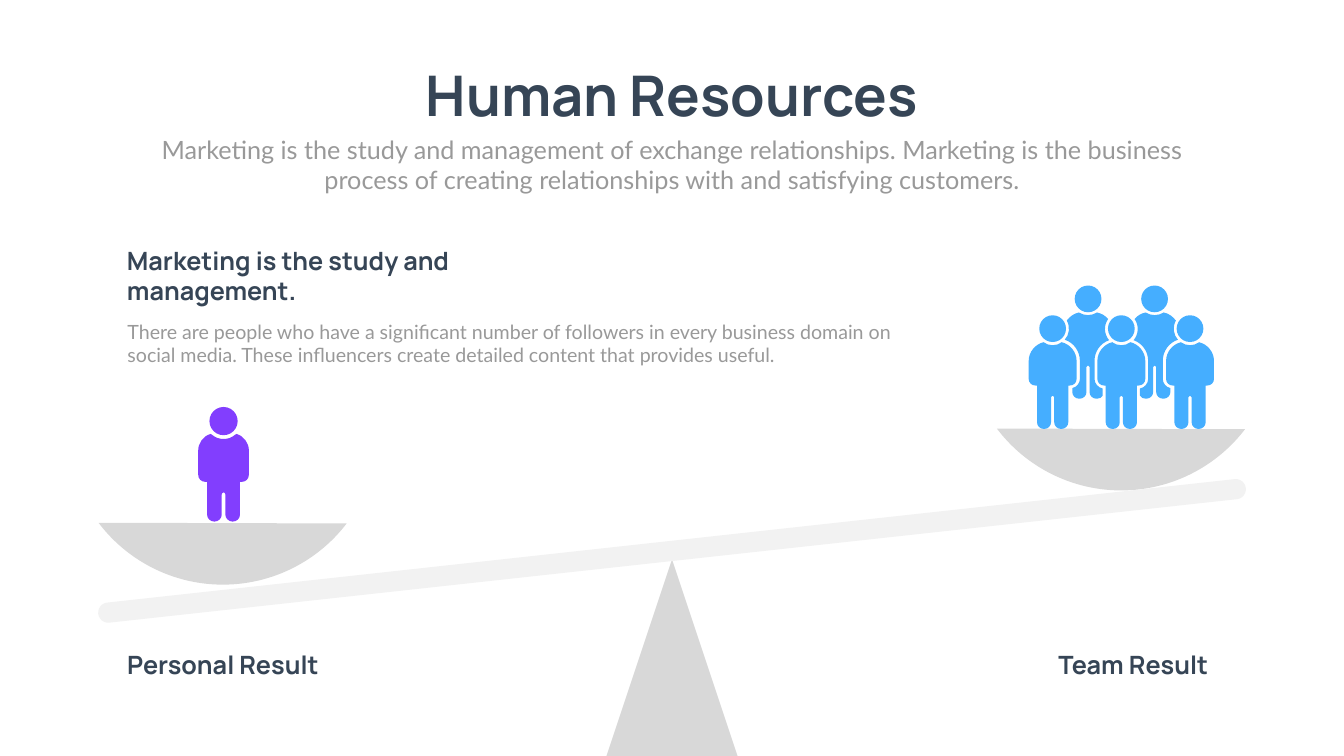
"""Build the Human Resources balance slide."""
from pptx import Presentation
from pptx.dml.color import RGBColor
from pptx.enum.shapes import MSO_SHAPE as Shape
from pptx.enum.text import PP_ALIGN as Align
from pptx.oxml.ns import qn
from pptx.util import Pt

NAVY = RGBColor(0x36, 0x45, 0x56)
GREY = RGBColor(0x99, 0x99, 0x99)
PAN = RGBColor(0xD8, 0xD8, 0xD8)
BEAM = RGBColor(0xF2, 0xF2, 0xF2)
BLUE = RGBColor(0x45, 0xAE, 0xFF)
PURPLE = RGBColor(0x82, 0x3E, 0xFE)

HEADING, BODY = ("Manrope", NAVY, True), ("Lato", GREY, False)
TITLES = [
    ("Human Resources", (573.8, 83.2, 771.8, 104.4), 80, HEADING, Align.CENTER),
    ("Marketing is the study and management of exchange relationships. "
     "Marketing is the business process of creating relationships with and "
     "satisfying customers.", (210.2, 187.9, 1499, 94.3), 36, BODY, Align.CENTER),
]
LABELS = [
    ("Personal Result", (142.6, 923.8, 351.4, 51.1), 36, HEADING, Align.CENTER),
    ("Team Result", (1442.9, 923.8, 351.4, 51.1), 36, HEADING, Align.CENTER),
]
NOTE = [
    ("There are people who have a significant number of followers in every "
     "business domain on social media. These influencers create detailed "
     "content that provides useful.", (175, 452.9, 1126.1, 74.9), 28, BODY, Align.LEFT),
    ("Marketing is the study and management.",
     (174.2, 347, 587.5, 94.3), 36, HEADING, Align.LEFT),
]

CHORD = (22.43, 85.76)
PANS = [
    (Shape.CHORD, (1378.8, 255.6, 445, 445), PAN, CHORD),
    (Shape.CHORD, (95.8, 390.2, 445, 445), PAN, CHORD),
]
LEVER = [
    (Shape.ISOSCELES_TRIANGLE, (866.2, 799.2, 187.2, 280.8), PAN, (0.5,)),
    (Shape.ROUNDED_RECTANGLE, (135.4, 772.6, 1648.8, 28.8), BEAM, (0.5,), 353.75),
]

FRONT_HALF = [
    [(0, 4.3)], [(4.3, 4.3), (9.4, 2.9), (13, 0)], [(25, 2.9), (34.2, 14), (34.2, 26.6)],
    [(34.2, 52.6)], [(34.2, 57.6), (30.2, 61.9), (24.5, 61.9)], [(22.3, 61.9)],
    [(22.3, 114.5)], [(22.3, 119.5), (18, 123.8), (13, 123.8)], [(11.5, 123.8)],
    [(6.5, 123.8), (2.3, 119.5), (2.3, 114.5)], [(2.3, 78.5)],
    [(2.3, 77), (1.4, 76.3), (0, 76.3)],
]
SINGLE_HALF = [
    [(0, 7.2)], [(5.8, 7.2), (11.5, 5.5), (16.2, 1.4)], [(18.4, 0)],
    [(29, 2.9), (36.2, 13), (36.2, 23.8)], [(36.2, 58.3)],
    [(36.2, 64), (31.7, 68.4), (26.4, 68.4)], [(23.5, 68.4)], [(23.5, 115.2)],
    [(23.5, 121), (18.7, 125.2), (13, 125.2)], [(7.2, 125.2), (2.6, 120.5), (2.6, 115.2)],
    [(2.6, 86.4)], [(2.6, 85), (1.4, 83.5), (0, 83.5)],
]
BACK = [
    [(9.2, 95)], [(9.2, 69.1)], [(9.2, 55.4), (17.8, 43.9), (30, 39.6)],
    [(22.8, 31), (22, 18.7), (28.6, 9.4)], [(24.3, 4.3), (19.3, 1.4), (12.8, 0)],
    [(4.9, 5), (-5.2, 5), (-13.1, 0)], [(-20.3, 1.4), (-26, 5.8), (-30.4, 11.5)],
    [(-25.3, 20.9), (-26.8, 31.7), (-33.3, 38.9)],
    [(-20.3, 43.2), (-11.7, 55.4), (-11.7, 69.1)], [(-11.7, 95)],
    [(-11.7, 100.8), (-16, 106.6), (-22.5, 108)], [(-22.5, 113.8)],
    [(-22.5, 118.8), (-18.2, 123.1), (-13.1, 123.1)], [(-11.7, 123.1)],
    [(-6.6, 123.1), (-2.3, 118.8), (-2.3, 113.8)], [(-2.3, 77.8)],
    [(-2.3, 76.3), (-1.4, 75.6), (0, 75.6)], [(1.4, 75.6), (2.1, 77), (2.1, 77.8)],
    [(2.1, 113.8)], [(2.1, 118.8), (6.4, 123.1), (11.5, 123.1)], [(13, 123.1)],
    [(16.5, 123.1), (19.4, 121.7), (20.9, 118.8)], [(20.9, 108.7)],
    [(14.4, 107.3), (9.2, 101.5), (9.2, 95)],
]
HEAD_RISE = 38.5


def mirror(segments):
    flipped = [[(-x, y) for x, y in seg] for seg in segments]
    result = [[flipped[-1][-1]]]
    for before, seg in reversed(list(zip(flipped, flipped[1:]))):
        result.append([*reversed(seg[:-1]), before[-1]])
    return result


def paint(sp, color):
    sp.shadow.inherit = False
    sp.fill.solid()
    sp.fill.fore_color.rgb = color
    sp.line.fill.background()


def add_preset(shapes, kind, box, color, adjustments=(), rotation=0):
    sp = shapes.add_shape(kind, *map(Pt, box))
    for i, value in enumerate(adjustments):
        sp.adjustments[i] = value
    sp.rotation = rotation
    paint(sp, color)


def add_outline(shapes, segments, cx, top, color):
    points = [(Pt(cx + x), Pt(top + y)) for seg in segments for x, y in seg]
    builder = shapes.build_freeform(*points[0])
    builder.add_line_segments(points[1:], close=True)
    sp = builder.convert_to_shape()
    lines = iter(list(sp._element.iter(qn("a:lnTo"))))
    for seg in segments[1:]:
        first, *rest = [next(lines) for _ in seg]
        if rest:
            curve = first.makeelement(qn("a:cubicBezTo"))
            first.addprevious(curve)
            for line in (first, *rest):
                curve.append(line[0])
                line.getparent().remove(line)
    paint(sp, color)


def add_person(shapes, segments, cx, top, head, color):
    add_outline(shapes, segments, cx, top, color)
    add_preset(shapes, Shape.OVAL, (cx - head / 2, top - HEAD_RISE, head, head), color)


def add_text(shapes, text, box, size, style, align):
    tf = shapes.add_textbox(*map(Pt, box)).text_frame
    tf.word_wrap = True
    p = tf.paragraphs[0]
    p.text = text
    p.alignment = align
    font = p.runs[0].font
    font.size = Pt(size)
    font.name, font.color.rgb, font.bold = style


def add_all(add, shapes, items):
    for item in items:
        add(shapes, *item)


def main():
    prs = Presentation()
    prs.slide_width, prs.slide_height = Pt(1919.5), Pt(1080)
    s = prs.slides.add_slide(prs.slide_layouts[6])
    front, single = (half + mirror(half)[1:] for half in (FRONT_HALF, SINGLE_HALF))
    people = [(BACK, 1554, 446.4, 38.2, BLUE), (mirror(BACK), 1649, 446.4, 38.2, BLUE)]
    people += [(front, 1503.4 + 98.1 * i, 488.9, 38.2, BLUE) for i in (1, 0, 2)]

    add_all(add_preset, s.shapes, PANS)
    add_all(add_person, s.shapes.add_group_shape().shapes, people)
    add_all(add_text, s.shapes, TITLES)
    add_all(add_preset, s.shapes, LEVER)
    person = (single, 319.3, 619.9, 40.3, PURPLE)
    add_all(add_person, s.shapes.add_group_shape().shapes, [person])
    add_all(add_text, s.shapes, LABELS)
    add_all(add_text, s.shapes.add_group_shape().shapes, NOTE)
    prs.save("out.pptx")


if __name__ == "__main__":
    main()
